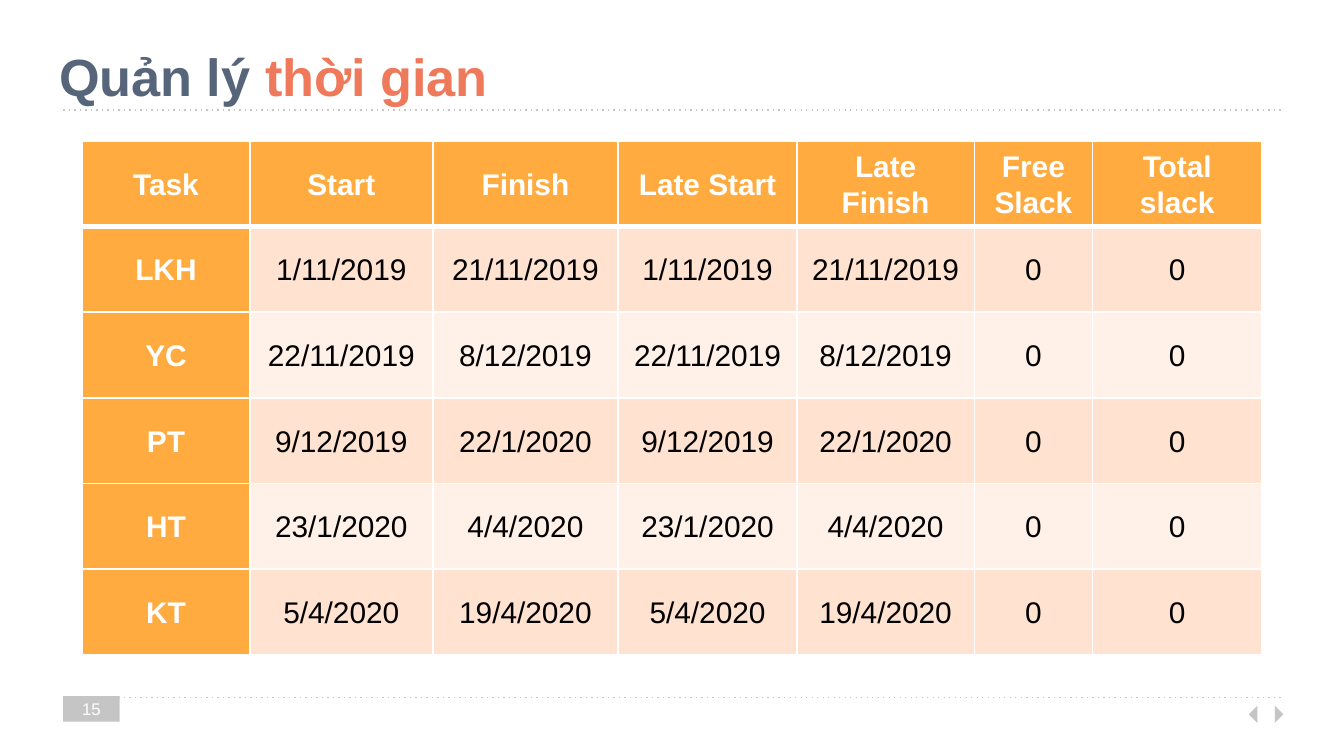
from dataclasses import dataclass

from lxml import etree
from pptx import Presentation
from pptx import util as u
from pptx.dml.color import RGBColor
from pptx.enum import shapes, text
from pptx.oxml import ns


@dataclass(frozen=True)
class Theme:
    font: str = "Arial"
    white: str = "FFFFFF"
    black: str = "000000"
    slate: str = "566579"
    coral: str = "EE795B"
    grey: str = "C6C5C5"
    orange: str = "FFAB40"
    bands: tuple = ("FFE2CF", "FFF1E8")
    title_size: int = 28
    table_size: int = 16
    number_size: int = 9


THEME = Theme()
LEFT, RIGHT = 0.47, 9.53
COLUMN_WIDTHS = [1.25, 1.36, 1.38, 1.33, 1.32, 0.88, 1.26]
TABLE_HEIGHT = 3.82
HEADERS = ["Task", "Start", "Finish", "Late Start", "Late Finish",
           "Free Slack", "Total slack"]
TASKS = [
    ("LKH", "1/11/2019", "21/11/2019"),
    ("YC", "22/11/2019", "8/12/2019"),
    ("PT", "9/12/2019", "22/1/2020"),
    ("HT", "23/1/2020", "4/4/2020"),
    ("KT", "5/4/2020", "19/4/2020"),
]


def box(left, top, width, height):
    return [u.Inches(v) for v in (left, top, width, height)]


def set_margins(item, x, y):
    item.margin_left = item.margin_right = u.Inches(x)
    item.margin_top = item.margin_bottom = u.Inches(y)


def add_run(p, content, *, size, color, bold=False):
    r = p.add_run()
    r.text = content
    r.font.name = THEME.font
    r.font.size = u.Pt(size)
    r.font.bold = bold
    r.font.color.rgb = RGBColor.from_string(color)


def add_title(s):
    title = s.shapes.title
    title.left, title.top, title.width, title.height = box(0.34, 0.23, 9.32, 0.51)
    tf = title.text_frame
    set_margins(tf, 0.1, 0.1)
    tf.vertical_anchor = text.MSO_ANCHOR.TOP
    tf.auto_size = text.MSO_AUTO_SIZE.NONE
    p = tf.paragraphs[0]
    p.alignment = text.PP_ALIGN.LEFT
    for content, color in (("Quản lý ", THEME.slate), ("thời gian", THEME.coral)):
        add_run(p, content, size=THEME.title_size, color=color, bold=True)


def add_dotted_rule(s, y):
    rule = s.shapes.add_connector(
        shapes.MSO_CONNECTOR.STRAIGHT,
        u.Inches(LEFT), u.Inches(y), u.Inches(RIGHT), u.Inches(y))
    rule.line.color.rgb = RGBColor.from_string(THEME.grey)
    rule.line.width = u.Pt(0.75)
    sp_pr = rule._element.spPr
    etree.SubElement(sp_pr.find(ns.qn("a:ln")), ns.qn("a:prstDash"), val="dot")
    etree.SubElement(sp_pr, ns.qn("a:effectLst"))


def add_grey_shape(s, kind, bounds, rotation=0):
    sp = s.shapes.add_shape(kind, *box(*bounds))
    sp.shadow.inherit = False
    sp.rotation = rotation
    sp.fill.solid()
    sp.fill.fore_color.rgb = RGBColor.from_string(THEME.grey)
    sp.line.fill.background()


def add_page_number(s, number):
    bounds = (LEFT, 5.18, 0.42, 0.19)
    add_grey_shape(s, shapes.MSO_SHAPE.RECTANGLE, bounds)
    tf = s.shapes.add_textbox(*box(*bounds)).text_frame
    tf.word_wrap = True
    tf.vertical_anchor = text.MSO_ANCHOR.MIDDLE
    set_margins(tf, 0.1, 0.1)
    p = tf.paragraphs[0]
    p.alignment = text.PP_ALIGN.CENTER
    add_run(p, number, size=THEME.number_size, color=THEME.white)


def set_borders(cell, **widths):
    """Draw white borders; widths are points keyed by side: L, R, T, B."""
    tc_pr = cell._tc.get_or_add_tcPr()
    for i, (side, width) in enumerate(widths.items()):
        ln = etree.Element(ns.qn(f"a:ln{side}"), w=str(u.Pt(width)))
        fill = etree.SubElement(ln, ns.qn("a:solidFill"))
        etree.SubElement(fill, ns.qn("a:srgbClr"), val=THEME.white)
        tc_pr.insert(i, ln)


def format_cell(cell, content, row, column):
    heading = row == 0 or column == 0
    fill = THEME.orange if heading else THEME.bands[(row - 1) % 2]
    cell.fill.solid()
    cell.fill.fore_color.rgb = RGBColor.from_string(fill)
    cell.vertical_anchor = text.MSO_ANCHOR.MIDDLE
    set_margins(cell, 0.08, 0)
    p = cell.text_frame.paragraphs[0]
    p.alignment = text.PP_ALIGN.CENTER
    p.line_spacing = 1.07
    add_run(p, content, size=THEME.table_size, bold=heading,
            color=THEME.white if heading else THEME.black)
    set_borders(cell, L=1, R=1, T=3 if row == 1 else 1, B=3 if row == 0 else 1)


def add_schedule(s):
    """Every task is critical: late dates equal early dates, with no slack."""
    rows = [HEADERS] + [[task, start, finish, start, finish, "0", "0"]
                        for task, start, finish in TASKS]
    bounds = box(0.61, 1.05, sum(COLUMN_WIDTHS), TABLE_HEIGHT)
    table = s.shapes.add_table(len(rows), len(HEADERS), *bounds).table
    for column, width in zip(table.columns, COLUMN_WIDTHS):
        column.width = u.Inches(width)
    for i, values in enumerate(rows):
        table.rows[i].height = u.Inches(TABLE_HEIGHT / len(rows))
        for j, value in enumerate(values):
            format_cell(table.cell(i, j), value, i, j)


def main():
    prs = Presentation()
    prs.slide_width = u.Inches(10)
    prs.slide_height = u.Inches(10 * 9 / 16)
    s = prs.slides.add_slide(prs.slide_layouts[5])
    for y in (5.19, 0.82):
        add_dotted_rule(s, y)
    for left, rotation in ((9.31, 45), (9.44, 225)):
        add_grey_shape(s, shapes.MSO_SHAPE.RIGHT_TRIANGLE,
                       (left, 5.27, 0.09, 0.09), rotation)
    add_title(s)
    add_page_number(s, "15")
    add_schedule(s)
    prs.save("out.pptx")


if __name__ == "__main__":
    main()
